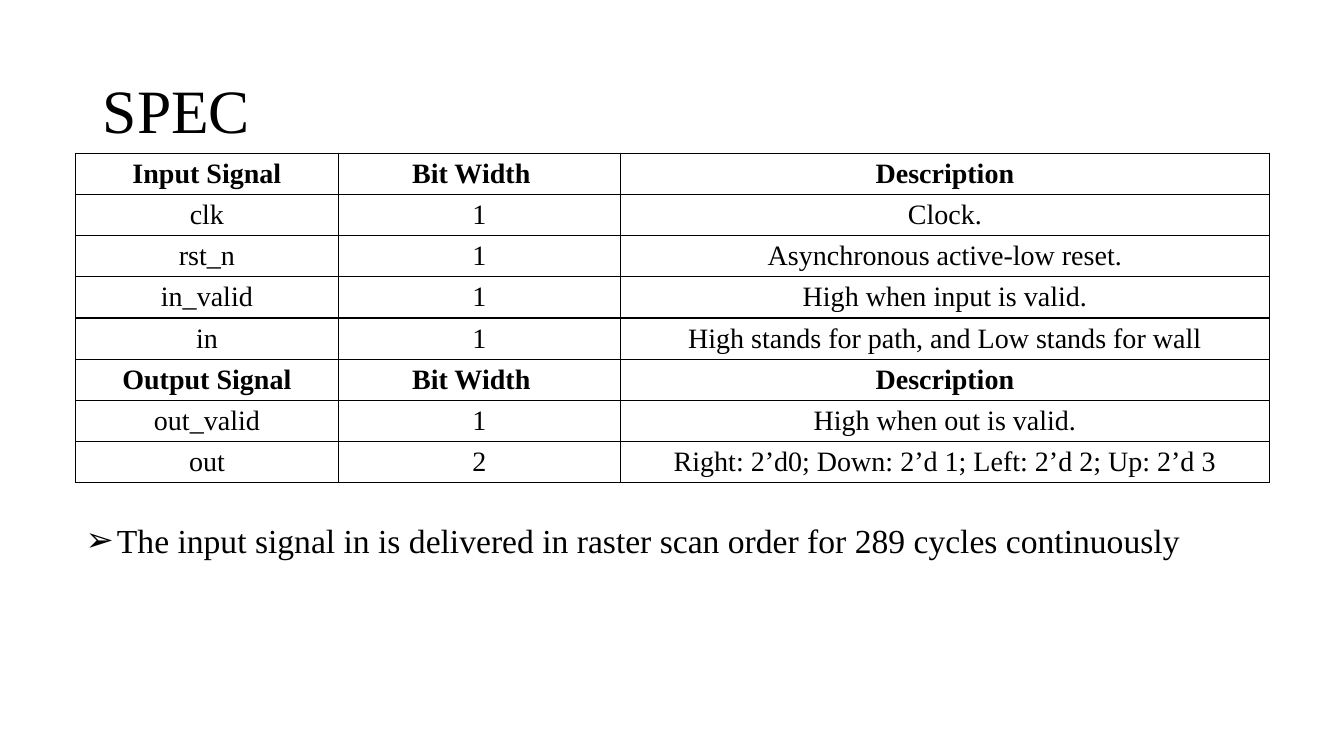
import pptx
import pptx.dml.color
import pptx.enum.text
import pptx.oxml
import pptx.oxml.ns
import pptx.util

Inches, Pt = pptx.util.Inches, pptx.util.Pt
ALIGN, ANCHOR = pptx.enum.text.PP_ALIGN, pptx.enum.text.MSO_ANCHOR
BLACK = pptx.dml.color.RGBColor(0, 0, 0)
FONT = "Times New Roman"
HEADING_ROWS = (0, 5)
SIGNALS = [
    ("Input Signal", "Bit Width", "Description"),
    ("clk", "1", "Clock."),
    ("rst_n", "1", "Asynchronous active-low reset."),
    ("in_valid", "1", "High when input is valid."),
    ("in", "1", "High stands for path, and Low stands for wall"),
    ("Output Signal", "Bit Width", "Description"),
    ("out_valid", "1", "High when out is valid."),
    ("out", "2", "Right: 2’d0; Down: 2’d 1; Left: 2’d 2; Up: 2’d 3"),
]


def style_paragraph(paragraph, size, align, bold=False):
    """Format a paragraph and its runs."""
    paragraph.alignment = align
    paragraph.space_before = Pt(0)
    for run in paragraph.runs:
        run.font.name, run.font.size, run.font.bold = FONT, Pt(size), bold
        run.font.color.rgb = BLACK


def place(part, box):
    """Move a placeholder to a box given in inches."""
    part.left, part.top, part.width, part.height = map(Inches, box)


def add_heading(slide, box):
    """Fill the title placeholder."""
    heading = slide.shapes.title
    place(heading, box)
    heading.text_frame.text = "SPEC"
    heading.text_frame.vertical_anchor = ANCHOR.MIDDLE
    style_paragraph(heading.text_frame.paragraphs[0], 44, ALIGN.LEFT)
    heading.text_frame.paragraphs[0].line_spacing = 0.9


def add_borders(cell):
    """Draw a thin line on all four sides of a cell."""
    properties = cell._tc.get_or_add_tcPr()
    for side in ("lnL", "lnR", "lnT", "lnB"):
        properties.append(pptx.oxml.parse_xml(
            f'<a:{side} {pptx.oxml.ns.nsdecls("a")} w="{Pt(1)}"><a:solidFill>'
            f'<a:srgbClr val="{BLACK}"/></a:solidFill></a:{side}>'))


def add_signal_table(slide, box):
    """Build the signal table with equal rows in the box."""
    table = slide.shapes.add_table(
        len(SIGNALS), len(SIGNALS[0]), *map(Inches, box)).table
    table.first_row = table.horz_banding = False
    for column, share in zip(table.columns, (0.22, 0.2365, 0.5435)):
        column.width = Inches(box[2] * share)
    for row_index, signal in enumerate(SIGNALS):
        table.rows[row_index].height = Inches(box[3] / len(SIGNALS))
        for column_index, wording in enumerate(signal):
            cell = table.cell(row_index, column_index)
            cell.text_frame.text = wording
            cell.vertical_anchor = ANCHOR.MIDDLE
            cell.margin_left = cell.margin_right = 0
            cell.margin_top = cell.margin_bottom = 0
            if wording == "Bit Width":
                cell.margin_right = Inches(0.16)
            style_paragraph(cell.text_frame.paragraphs[0], 20, ALIGN.CENTER,
                            row_index in HEADING_ROWS)
            add_borders(cell)
            cell.fill.background()


def add_note(slide, box):
    """Fill the body placeholder with the arrow-bulleted note."""
    note = slide.placeholders[1]
    place(note, box)
    frame = note.text_frame
    frame.text = ("The input signal in is delivered in raster scan order "
                  "for 289 cycles continuously")
    frame.word_wrap = False
    frame.vertical_anchor = ANCHOR.TOP
    paragraph = frame.paragraphs[0]
    style_paragraph(paragraph, 24, ALIGN.LEFT)
    properties = paragraph._p.get_or_add_pPr()
    properties.set("marL", str(Inches(0.31)))
    properties.set("indent", str(-Inches(0.31)))
    properties.append(pptx.oxml.parse_xml(
        f'<a:buChar {pptx.oxml.ns.nsdecls("a")} char="➢"/>'))


def build_spec_slide(presentation):
    """Add the slide that specifies the signals."""
    slide = presentation.slides.add_slide(presentation.slide_layouts[1])
    add_heading(slide, (0.92, 0.4, 11.5, 1.45))
    add_signal_table(slide, (0.75, 1.52, 11.84, 3.27))
    add_note(slide, (0.75, 5.11, 11.15, 0.5))


presentation = pptx.Presentation()
presentation.slide_width, presentation.slide_height = Inches(13.33), Inches(7.5)
build_spec_slide(presentation)
presentation.save("out.pptx")
